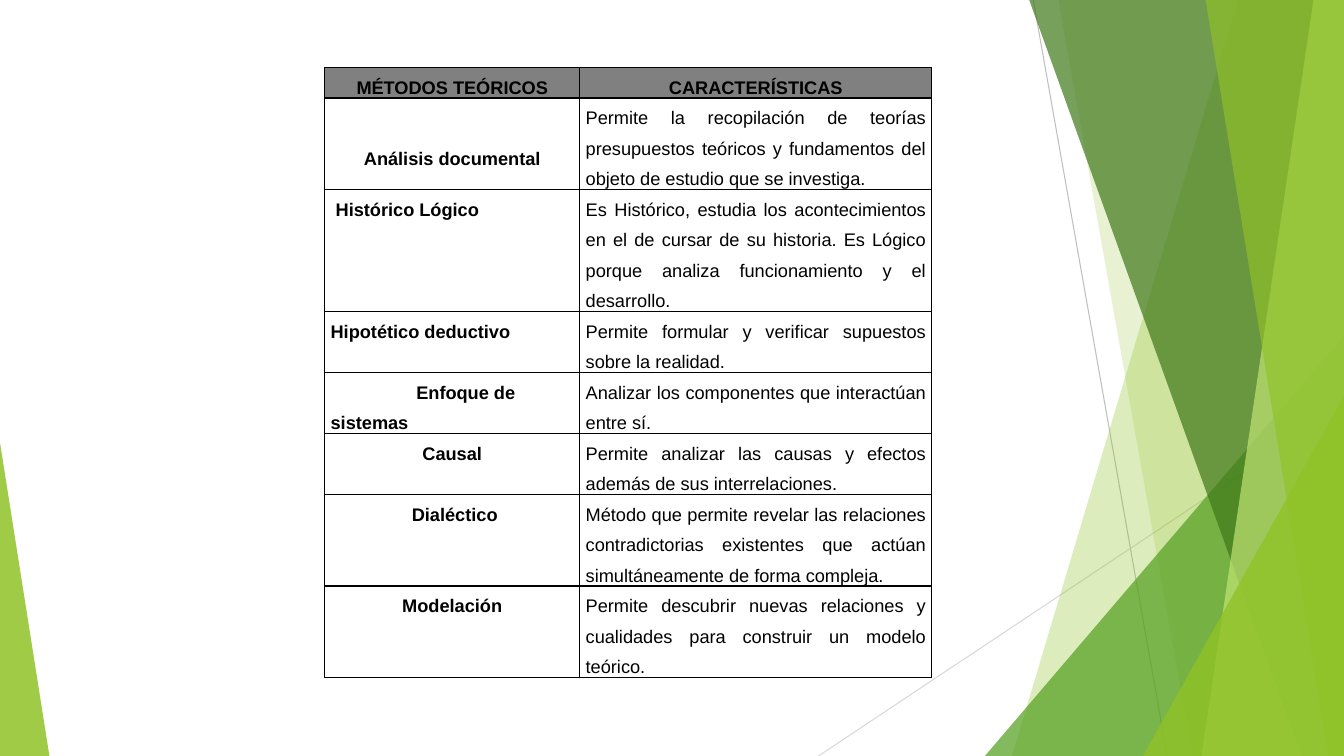
from dataclasses import dataclass

from lxml import etree
from pptx import Presentation
from pptx.dml.color import RGBColor
from pptx.enum.shapes import MSO_CONNECTOR, MSO_SHAPE
from pptx.enum.text import PP_ALIGN
from pptx.oxml.ns import qn
from pptx.util import Emu, Inches, Pt

STRAIGHT = MSO_CONNECTOR.STRAIGHT
TRIANGLE = MSO_SHAPE.ISOSCELES_TRIANGLE
LEFT, CENTER, JUSTIFY = PP_ALIGN.LEFT, PP_ALIGN.CENTER, PP_ALIGN.JUSTIFY


@dataclass(frozen=True)
class Theme:
    font: str = "Arial"
    text_size: float = 13
    line_spacing: float = 1.5
    space_after: float = 8
    cell_inset: float = 0.06
    rule_width: float = 0.75
    border_width: float = 1
    ink: str = "000000"
    header: str = "808080"
    rule: str = "BFBFBF"
    pale_rule: str = "D9D9D9"
    lime: str = "90C226"
    pale_lime: str = "C0E474"
    green: str = "54A021"
    dark_green: str = "3F7819"


@dataclass(frozen=True)
class Label:
    """First-column text; indent and drop are inches from the cell's start and top."""
    text: str
    align: PP_ALIGN = CENTER
    indent: float = 0
    drop: float = 0


class SlideBuilder:
    """Draws on one slide; positions and sizes are percentages of the slide."""

    def __init__(self, deck, theme):
        self.theme = theme
        self.slide = deck.slides.add_slide(deck.slide_layouts[6])
        self.shapes = self.slide.shapes
        self.width, self.height = deck.slide_width, deck.slide_height

    def x(self, share):
        return Emu(round(self.width * share / 100))

    def y(self, share):
        return Emu(round(self.height * share / 100))

    def paint(self, shape, color, opacity):
        shape.shadow.inherit = False
        shape.line.fill.background()
        shape.fill.solid()
        shape.fill.fore_color.rgb = RGBColor.from_string(color)
        tint = shape.fill._xPr.find(qn("a:solidFill"))[0]
        etree.SubElement(tint, qn("a:alpha"), val=str(opacity * 1000))

    def rule(self, start, end, color):
        line = self.shapes.add_connector(
            STRAIGHT, self.x(start[0]), self.y(start[1]), self.x(end[0]), self.y(end[1]))
        line.line.width = Pt(self.theme.rule_width)
        line.line.color.rgb = RGBColor.from_string(color)
        etree.SubElement(line._element.spPr, qn("a:effectLst"))

    def facet(self, top_x, bottom_x, color, opacity):
        """Fill everything from a slanted full-height edge to the right side."""
        outline = self.shapes.build_freeform(self.x(top_x), 0)
        outline.add_line_segments([(self.x(100), 0), (self.x(100), self.y(100)),
                                   (self.x(bottom_x), self.y(100))], close=True)
        self.paint(outline.convert_to_shape(), color, opacity)

    def corner(self, left, right, top, apex, color, opacity):
        """Triangle standing on the bottom edge; apex 0 is left and 1 is right."""
        shape = self.shapes.add_shape(
            TRIANGLE, self.x(left), self.y(top), self.x(right - left), self.y(100 - top))
        shape.adjustments[0] = apex
        self.paint(shape, color, opacity)

    def border(self, cell):
        properties = cell._tc.get_or_add_tcPr()
        for side in ("lnL", "lnR", "lnT", "lnB"):
            line = etree.SubElement(properties, qn(f"a:{side}"),
                                    w=str(Pt(self.theme.border_width)))
            fill = etree.SubElement(line, qn("a:solidFill"))
            etree.SubElement(fill, qn("a:srgbClr"), val=self.theme.ink)

    def cell(self, cell, label, bold, fill=None):
        theme = self.theme
        self.border(cell)
        if fill:
            cell.fill.solid()
            cell.fill.fore_color.rgb = RGBColor.from_string(fill)
        else:
            cell.fill.background()
        cell.margin_left = cell.margin_right = Inches(theme.cell_inset)
        cell.margin_top, cell.margin_bottom = Inches(label.drop), 0
        para = cell.text_frame.paragraphs[0]
        para.text = label.text
        para.alignment = label.align
        para.line_spacing = theme.line_spacing
        para.space_after = Pt(theme.space_after)
        if label.indent:
            para._p.get_or_add_pPr().set("indent", str(Inches(label.indent)))
        font = para.runs[0].font
        font.name, font.size, font.bold = theme.font, Pt(theme.text_size), bold
        font.color.rgb = RGBColor.from_string(theme.ink)

    def table(self, left, top, columns, line_height, headings, rows):
        """Each row is (label, description, height in text lines)."""
        lines = [1] + [row[2] for row in rows]
        frame = self.shapes.add_table(
            len(lines), len(columns), self.x(left), self.y(top),
            self.x(sum(columns)), self.y(line_height * sum(lines)))
        table = frame.table
        table.first_row = table.horz_banding = False
        for column, share in zip(table.columns, columns):
            column.width = self.x(share)
        for row, count in zip(table.rows, lines):
            row.height = self.y(line_height * count)
        for index, heading in enumerate(headings):
            self.cell(table.cell(0, index), Label(heading), True, self.theme.header)
        for index, (label, description, _) in enumerate(rows, start=1):
            self.cell(table.cell(index, 0), label, True)
            self.cell(table.cell(index, 1), Label(description, JUSTIFY), False)


METHODS = [
    (Label("Análisis documental", drop=0.41),
     "Permite la recopilación de teorías presupuestos teóricos y fundamentos "
     "del objeto de estudio que se investiga.", 3),
    (Label("Histórico Lógico", JUSTIFY, indent=0.05),
     "Es Histórico, estudia los acontecimientos en el de cursar de su historia. "
     "Es Lógico porque analiza funcionamiento y el desarrollo.", 4),
    (Label("Hipotético deductivo", JUSTIFY),
     "Permite formular y verificar supuestos sobre la realidad.", 2),
    (Label("Enfoque de sistemas", LEFT, indent=0.85),
     "Analizar los componentes que interactúan entre sí.", 2),
    (Label("Causal"),
     "Permite analizar las causas y efectos además de sus interrelaciones.", 2),
    (Label("Dialéctico", indent=0.05),
     "Método que permite revelar las relaciones contradictorias existentes "
     "que actúan simultáneamente de forma compleja.", 3),
    (Label("Modelación"),
     "Permite descubrir nuevas relaciones y cualidades para construir "
     "un modelo teórico.", 3),
]


def main():
    deck = Presentation()
    deck.slide_width, deck.slide_height = Inches(13.33), Inches(7.5)
    theme = Theme()
    page = SlideBuilder(deck, theme)

    page.rule((76.88, 0), (86.85, 100), theme.rule)
    page.rule((100, 53.73), (60.9, 100), theme.pale_rule)
    page.facet(92.1, 75.3, theme.lime, 30)
    page.facet(78.75, 88.73, theme.lime, 20)
    page.corner(73.28, 100, 44.4, 1, theme.green, 72)
    page.facet(76.58, 96.83, theme.dark_green, 70)
    page.facet(97.73, 89.4, theme.pale_lime, 70)
    page.facet(89.7, 98.85, theme.lime, 65)
    page.corner(85.05, 100, 52.4, 1, theme.lime, 80)
    page.corner(0, 3.68, 58.53, 0, theme.lime, 85)

    page.table(24.15, 8.93, (18.98, 26.18), 4.03,
               ("MÉTODOS TEÓRICOS", "CARACTERÍSTICAS"), METHODS)
    deck.save("out.pptx")


if __name__ == "__main__":
    main()
